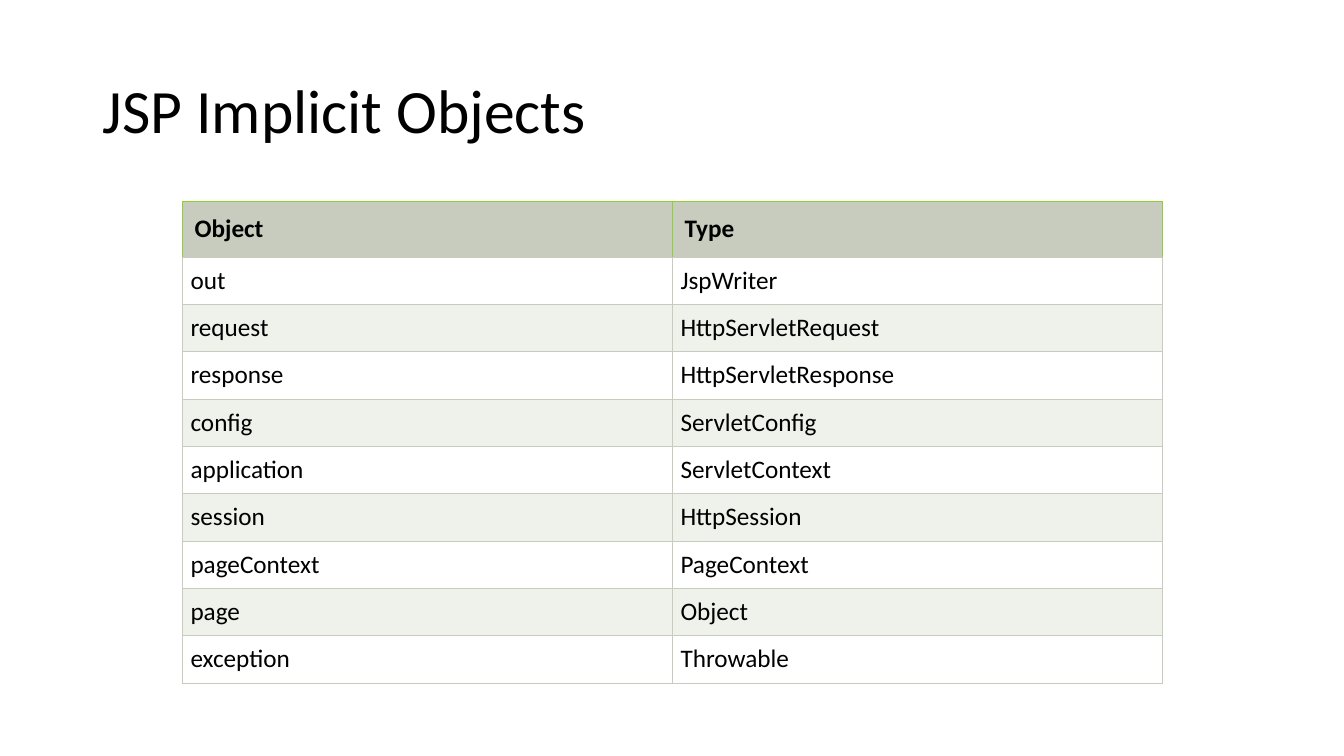
from pptx import Presentation
from pptx.dml.color import RGBColor
from pptx.enum.text import MSO_ANCHOR, PP_ALIGN
from pptx.oxml.ns import qn
from pptx.util import Inches, Pt
from lxml.etree import SubElement

FONT = "Calibri"
BLACK, WHITE = "000000", "FFFFFF"
SAGE, PALE_SAGE, GREEN = "C7CCBE", "EFF1EB", "90D02E"
HEADER_HEIGHT, ROW_HEIGHT, COLUMN_WIDTH = 0.55, 0.47, 4.86

IMPLICIT_OBJECTS = [
    ("Object", "Type"),
    ("out", "JspWriter"),
    ("request", "HttpServletRequest"),
    ("response", "HttpServletResponse"),
    ("config", "ServletConfig"),
    ("application", "ServletContext"),
    ("session", "HttpSession"),
    ("pageContext", "PageContext"),
    ("page", "Object"),
    ("exception", "Throwable"),
]


def rgb(value):
    return RGBColor.from_string(value)


def write_text(tf, text, size=18, bold=False, color=BLACK,
               align=PP_ALIGN.LEFT, line_spacing=None):
    p = tf.paragraphs[0]
    p.alignment = align
    p.line_spacing = line_spacing
    r = p.add_run()
    r.text = text
    r.font.name = FONT
    r.font.size = Pt(size)
    r.font.bold = bold
    r.font.color.rgb = rgb(color)


def set_borders(cell, colors, width=0.75):
    """Draw the cell's left, right, top and bottom lines, in that order."""
    tc_pr = cell._tc.get_or_add_tcPr()
    for side, color in zip("LRTB", colors):
        ln = SubElement(tc_pr, qn(f"a:ln{side}"), w=str(Pt(width)))
        fill = SubElement(ln, qn("a:solidFill"))
        SubElement(fill, qn("a:srgbClr"), val=color)


def format_cell(cell, text, fill, borders, margin, **text_format):
    cell.margin_left = cell.margin_right = Inches(margin)
    cell.margin_top = cell.margin_bottom = Inches(margin)
    set_borders(cell, borders)
    cell.fill.solid()
    cell.fill.fore_color.rgb = rgb(fill)
    write_text(cell.text_frame, text, **text_format)


def add_title(s, text):
    title = s.shapes.title
    title.left, title.top = Inches(0.92), Inches(0.4)
    title.width, title.height = Inches(11.5), Inches(1.45)
    title.text_frame.vertical_anchor = MSO_ANCHOR.MIDDLE
    write_text(title.text_frame, text, size=44, line_spacing=0.9)


def add_object_table(s, rows, left, top):
    n_rows, n_cols = len(rows), len(rows[0])
    height = HEADER_HEIGHT + ROW_HEIGHT * (n_rows - 1)
    table = s.shapes.add_table(n_rows, n_cols, Inches(left), Inches(top),
                               Inches(COLUMN_WIDTH * n_cols),
                               Inches(height)).table
    for column in table.columns:
        column.width = Inches(COLUMN_WIDTH)

    for i, row in enumerate(rows):
        table.rows[i].height = Inches(ROW_HEIGHT if i else HEADER_HEIGHT)
        for j, text in enumerate(row):
            cell = table.cell(i, j)
            if i == 0:
                format_cell(cell, text, SAGE, [GREEN] * 3 + [SAGE], 0.12,
                            bold=True)
            else:
                format_cell(cell, text, WHITE if i % 2 else PALE_SAGE,
                            [SAGE] * 4, 0.08, align=PP_ALIGN.JUSTIFY)


def main():
    prs = Presentation()
    prs.slide_width, prs.slide_height = Inches(13.33), Inches(7.5)
    s = prs.slides.add_slide(prs.slide_layouts[5])

    # Heading
    add_title(s, "JSP Implicit Objects")

    # Implicit objects and their types
    add_object_table(s, IMPLICIT_OBJECTS, left=1.81, top=2)

    prs.save("out.pptx")


main()
